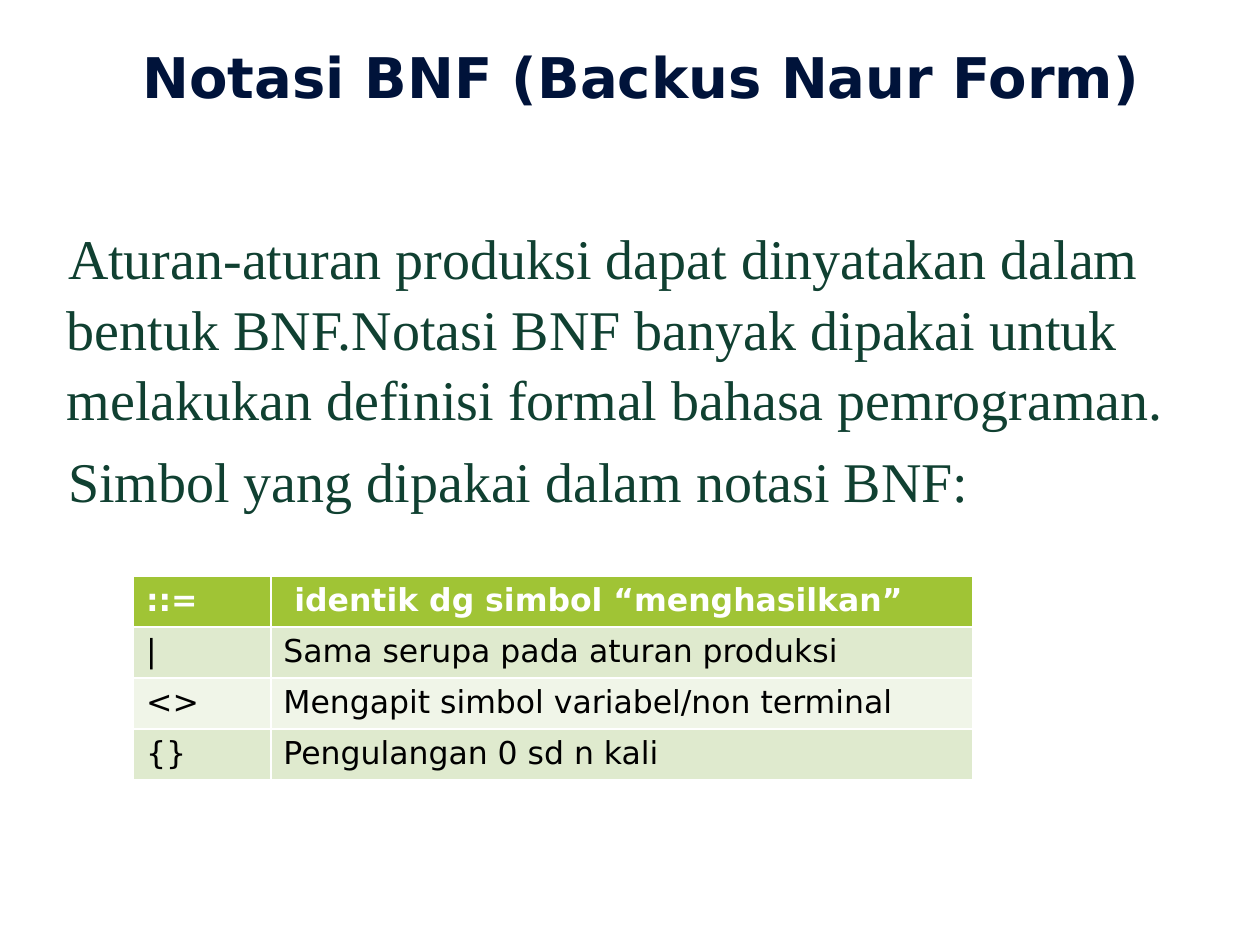
import dataclasses

import lxml.etree
import pptx
import pptx.dml.color
import pptx.enum.text
import pptx.oxml.ns
import pptx.util
from pptx.util import Inches


@dataclasses.dataclass(frozen=True)
class Theme:
    title_color: str = "00133A"
    body_color: str = "104031"
    header_fill: str = "A0C435"
    band_fills: tuple = ("DFEACE", "F0F5E8")
    header_color: str = "FFFFFF"
    cell_color: str = "000000"
    sans: str = "DejaVu Sans"
    serif: str = "Times New Roman"
    large: int = 32
    small: int = 18


theme = Theme()


def set_font(para, name, size, color, bold=False):
    para.font.name = name
    para.font.size = pptx.util.Pt(size)
    para.font.color.rgb = pptx.dml.color.RGBColor.from_string(color)
    para.font.bold = bold


def move(shape, left, top, width, height):
    shape.left, shape.top = Inches(left), Inches(top)
    shape.width, shape.height = Inches(width), Inches(height)


deck = pptx.Presentation()
deck.slide_width, deck.slide_height = Inches(10), Inches(7.5)
page = deck.slides.add_slide(deck.slide_layouts[1])

# Title
title = page.shapes.title
move(title, 0.59, -0.02, 9, 1.25)
title.text_frame.text = "Notasi BNF (Backus Naur Form)"
title.text_frame.vertical_anchor = pptx.enum.text.MSO_ANCHOR.MIDDLE
heading = title.text_frame.paragraphs[0]
heading.alignment = pptx.enum.text.PP_ALIGN.CENTER
set_font(heading, theme.sans, theme.large, theme.title_color, bold=True)

# Explanation; space before each paragraph comes from the template
body = page.placeholders[1]
move(body, 0.43, 1.7, 8.95, 5.36)
body.text_frame.auto_size = pptx.enum.text.MSO_AUTO_SIZE.NONE
body.text_frame.text = (
    "Aturan-aturan produksi dapat dinyatakan dalam bentuk BNF.Notasi BNF banyak "
    "dipakai untuk melakukan definisi formal bahasa pemrograman.\n"
    "Simbol yang dipakai dalam notasi BNF:"
)
for para in body.text_frame.paragraphs:
    set_font(para, theme.serif, theme.large, theme.body_color)
    para.line_spacing = 1.05
    properties = para._p.get_or_add_pPr()
    properties.set("marL", "0")
    properties.set("indent", str(Inches(0.01)))
    bullet = lxml.etree.Element(pptx.oxml.ns.qn("a:buNone"))
    properties.find(pptx.oxml.ns.qn("a:lnSpc")).addnext(bullet)

# Symbol table; white rules come from the default table style
symbols = [
    ("::=", " identik dg simbol “menghasilkan”"),
    ("|", "Sama serupa pada aturan produksi"),
    ("<>", "Mengapit simbol variabel/non terminal"),
    ("{}", "Pengulangan 0 sd n kali"),
]
table = page.shapes.add_table(
    len(symbols), 2, Inches(1.06), Inches(4.57), Inches(6.66), Inches(1.62)
).table
for column, width in zip(table.columns, (1.09, 5.57)):
    column.width = Inches(width)
for row_index, texts in enumerate(symbols):
    is_header = row_index == 0
    fill = theme.header_fill if is_header else theme.band_fills[(row_index - 1) % 2]
    color = theme.header_color if is_header else theme.cell_color
    for column_index, text in enumerate(texts):
        cell = table.cell(row_index, column_index)
        cell.text = text
        cell.fill.solid()
        cell.fill.fore_color.rgb = pptx.dml.color.RGBColor.from_string(fill)
        set_font(cell.text_frame.paragraphs[0], theme.sans, theme.small, color, is_header)

deck.save("out.pptx")
